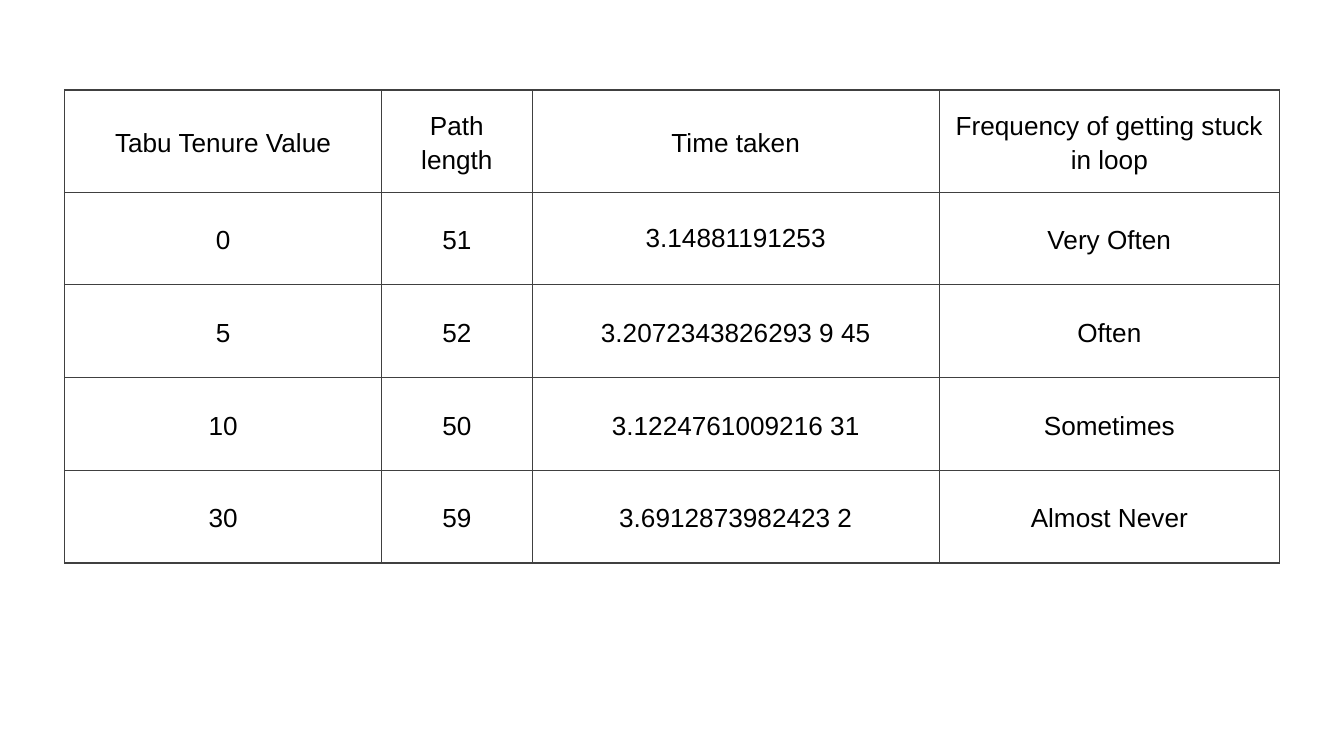
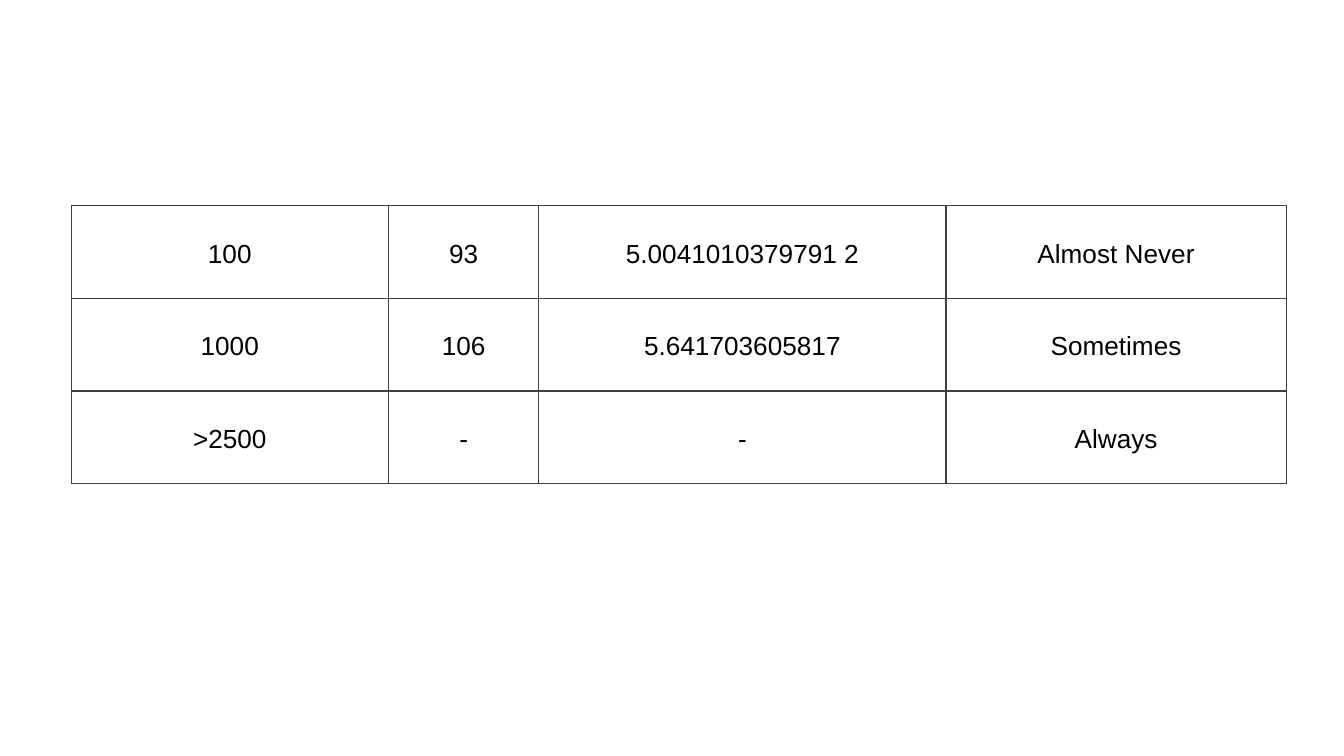
"""Build two slides that tabulate tabu tenure results."""
from dataclasses import dataclass

from lxml import etree
from pptx import Presentation
from pptx import util as u
from pptx.dml import color
from pptx.enum import text
from pptx.oxml import ns

SLIDE_WIDTH = u.Inches(10)
SLIDE_FORMAT = {"slide_width": SLIDE_WIDTH, "slide_height": SLIDE_WIDTH * 9 // 16}
COLORS = {"text": "000000", "border": "404040"}
COL_WIDTHS = (2.36, 1.12, 3.03, 2.53)
HEADER_HEIGHT = 0.76
ROW_HEIGHT = 0.69
BORDER_WIDTH = u.Pt(0.75)
CELL_FORMAT = {
    "vertical_anchor": text.MSO_ANCHOR.MIDDLE,
    **{f"margin_{side}": u.Inches(0.1) for side in ("left", "right", "top", "bottom")},
}
PARAGRAPH_FORMAT = {
    "alignment": text.PP_ALIGN.CENTER,
    "line_spacing": 1.15,
    "space_before": u.Pt(12),
    "space_after": u.Pt(12),
}
FONT_FORMAT = {"name": "Arial", "size": u.Pt(14), "bold": False}
TABLE_FLAGS = {"first_row": False, "horz_banding": False}


@dataclass(frozen=True)
class ResultTable:
    """Position and rows of one result table."""
    left: float
    top: float
    rows: tuple
    has_header: bool = False
    single_spaced: tuple = ()


TABLES = (
    ResultTable(0.48, 0.67, (
        ("Tabu Tenure Value", "Path length", "Time taken",
         "Frequency of getting stuck in loop"),
        ("0", "51", "3.14881191253", "Very Often"),
        ("5", "52", "3.2072343826293 9 45", "Often"),
        ("10", "50", "3.1224761009216 31", "Sometimes"),
        ("30", "59", "3.6912873982423 2", "Almost Never"),
    ), has_header=True, single_spaced=("3.14881191253",)),
    ResultTable(0.53, 1.53, (
        ("100", "93", "5.0041010379791 2", "Almost Never"),
        ("1000", "106", "5.641703605817", "Sometimes"),
        (">2500", "-", "-", "Always"),
    )),
)


def apply(target: object, formats: dict) -> None:
    """Set each format value as an attribute of the target."""
    for name, value in formats.items():
        setattr(target, name, value)


def add_borders(cell: object) -> None:
    """Outline all four sides of a cell."""
    props = cell._tc.get_or_add_tcPr()
    for side in ("lnL", "lnR", "lnT", "lnB"):
        line = etree.SubElement(props, ns.qn(f"a:{side}"), w=str(int(BORDER_WIDTH)))
        fill = etree.SubElement(line, ns.qn("a:solidFill"))
        etree.SubElement(fill, ns.qn("a:srgbClr"), val=COLORS["border"])


def fill_cell(cell: object, value: str, single: bool) -> None:
    """Write and format one table cell."""
    apply(cell, CELL_FORMAT)
    add_borders(cell)
    cell.fill.background()
    p = cell.text_frame.paragraphs[0]
    apply(p, PARAGRAPH_FORMAT)
    if single:
        p.line_spacing = 1.0
    r = p.add_run()
    r.text = value
    apply(r.font, FONT_FORMAT)
    r.font.color.rgb = color.RGBColor.from_string(COLORS["text"])


def add_result_table(s: object, data: ResultTable) -> None:
    """Draw one result table on a slide."""
    heights = [ROW_HEIGHT] * len(data.rows)
    if data.has_header:
        heights[0] = HEADER_HEIGHT
    table = s.shapes.add_table(
        len(data.rows), len(COL_WIDTHS), u.Inches(data.left), u.Inches(data.top),
        u.Inches(sum(COL_WIDTHS)), u.Inches(sum(heights))).table
    apply(table, TABLE_FLAGS)
    for column, width in zip(table.columns, COL_WIDTHS):
        column.width = u.Inches(width)
    for row, height, values in zip(table.rows, heights, data.rows):
        row.height = u.Inches(height)
        for cell, value in zip(row.cells, values):
            fill_cell(cell, value, value in data.single_spaced)


def main() -> None:
    """Create and save the presentation."""
    prs = Presentation()
    apply(prs, SLIDE_FORMAT)
    for data in TABLES:
        s = prs.slides.add_slide(prs.slide_layouts[6])
        add_result_table(s, data)
    prs.save("out.pptx")


if __name__ == "__main__":
    main()
